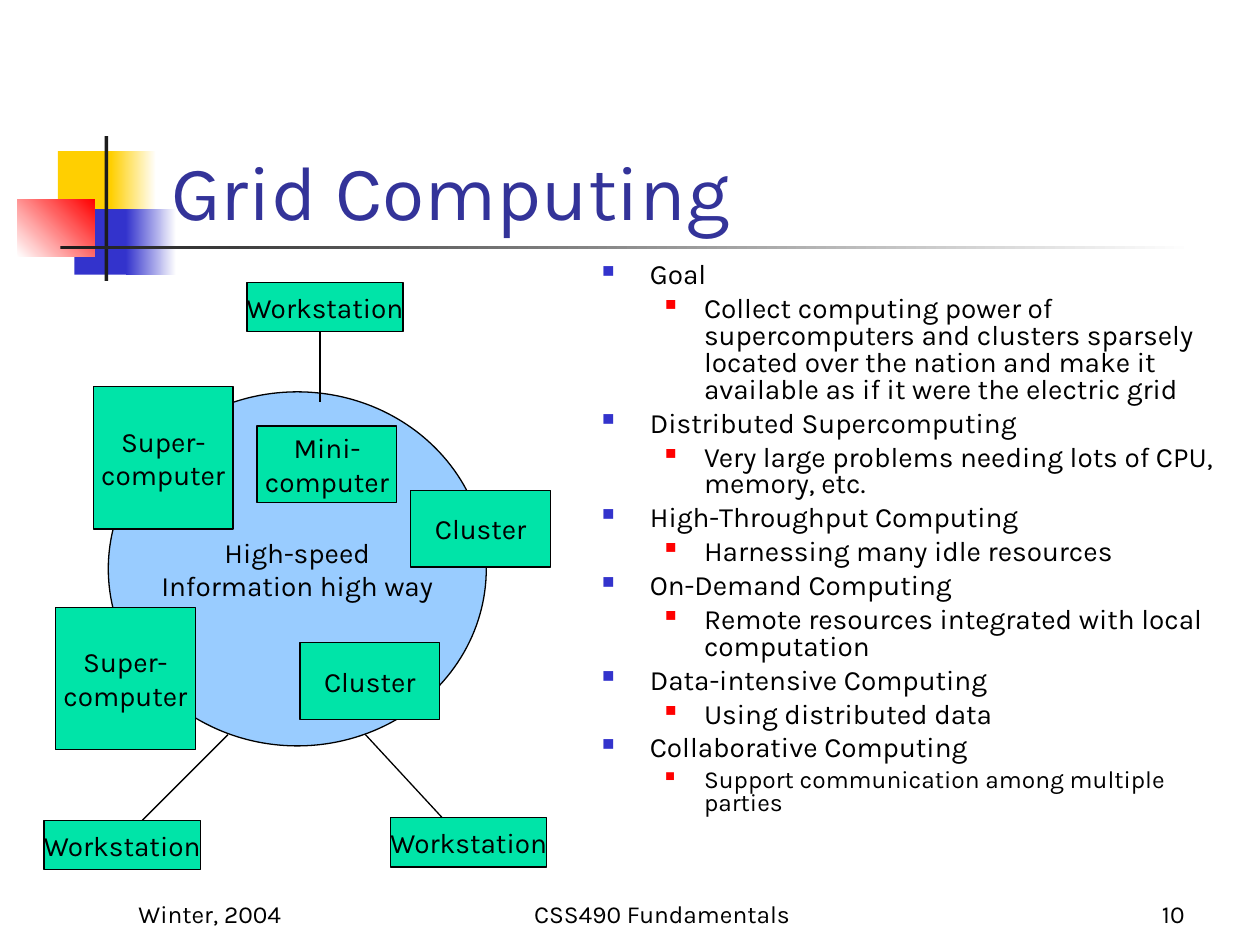
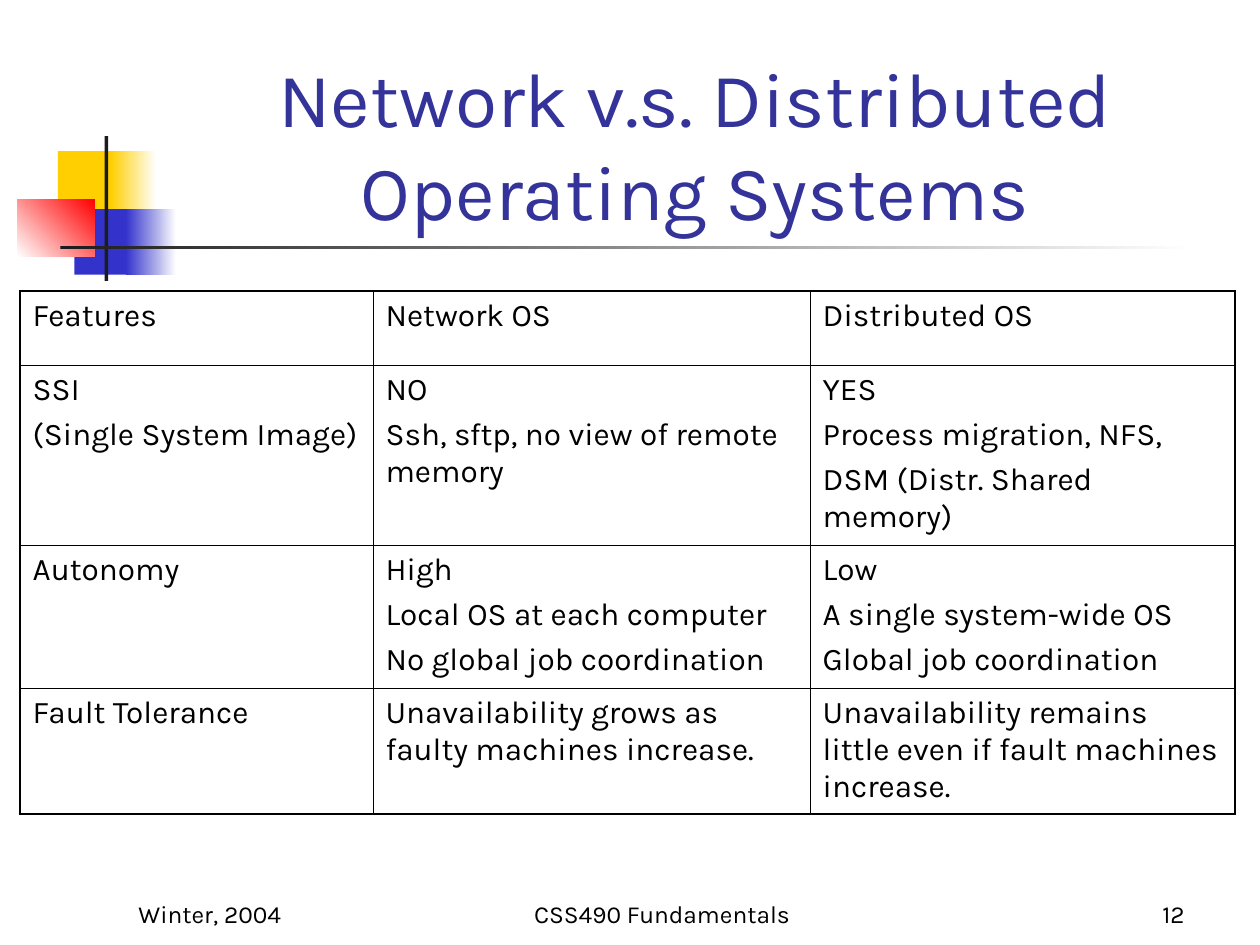
from dataclasses import dataclass

from lxml import etree
from pptx import Presentation
from pptx.dml.color import RGBColor
from pptx.enum.shapes import MSO_CONNECTOR, MSO_SHAPE
from pptx.enum.text import MSO_ANCHOR, PP_ALIGN
from pptx.oxml.ns import qn
from pptx.util import Inches, Pt

RECTANGLE, OVAL = MSO_SHAPE.RECTANGLE, MSO_SHAPE.OVAL
STRAIGHT = MSO_CONNECTOR.STRAIGHT
LEFT, CENTER, RIGHT = PP_ALIGN.LEFT, PP_ALIGN.CENTER, PP_ALIGN.RIGHT
TOP, MIDDLE, BOTTOM = MSO_ANCHOR.TOP, MSO_ANCHOR.MIDDLE, MSO_ANCHOR.BOTTOM


@dataclass(frozen=True)
class Theme:
    font: str = "Karla"
    text: str = "000000"
    title: str = "333399"
    white: str = "FFFFFF"
    yellow: str = "FFCF01"
    blue: str = "3333CC"
    red: str = "FF0000"
    rule: str = "1C1C1C"
    node: str = "00E4A8"
    network: str = "99CCFF"
    title_size: float = 44
    table_size: float = 18
    body_size: float = 16
    small_size: float = 14
    line: float = 0.75
    inner_border: float = 0.45
    outer_border: float = 1.08


class SlideBuilder:
    """Holds the theme and the page being drawn."""

    def __init__(self, deck, theme):
        self.deck = deck
        self.theme = theme
        self.page = None

    def new_page(self, title, number, align=LEFT):
        self.page = self.deck.slides.add_slide(self.deck.slide_layouts[6])
        self.ornament()
        self.footer(number)
        self.text(title, (1.26, 0.67, 8.52, 1.25), self.theme.title_size,
                  self.theme.title, align, BOTTOM)

    def style(self, para, size, color=None, align=LEFT):
        para.alignment = align
        para.font.name = self.theme.font
        para.font.size = Pt(size)
        para.font.color.rgb = RGBColor.from_string(color or self.theme.text)

    def text(self, text, place, size, color=None, align=LEFT, anchor=TOP):
        box = self.page.shapes.add_textbox(*map(Inches, place))
        frame = box.text_frame
        frame.word_wrap = True
        frame.vertical_anchor = anchor
        frame.text = text
        for para in frame.paragraphs:
            self.style(para, size, color, align)

    def shape(self, kind, place, fill):
        shape = self.page.shapes.add_shape(kind, *map(Inches, place))
        shape.shadow.inherit = False
        shape.fill.solid()
        shape.fill.fore_color.rgb = RGBColor.from_string(fill)
        shape.line.fill.background()
        return shape

    def gradient(self, place, start, end, angle=0):
        shape = self.shape(RECTANGLE, place, start)
        shape.fill.gradient()
        shape.fill.gradient_angle = angle
        for stop, color in zip(shape.fill.gradient_stops, (start, end)):
            stop.color.rgb = RGBColor.from_string(color)

    def ornament(self):
        theme = self.theme
        self.shape(RECTANGLE, (0.46, 1.2, 0.48, 0.52), theme.yellow)
        self.gradient((0.88, 1.2, 0.36, 0.52), theme.yellow, theme.white)
        self.shape(RECTANGLE, (0.59, 1.66, 0.46, 0.52), theme.blue)
        self.gradient((1, 1.66, 0.4, 0.52), theme.blue, theme.white)
        self.gradient((0.14, 1.58, 0.61, 0.46), theme.white, theme.red, 45)
        self.shape(RECTANGLE, (0.83, 1.08, 0.03, 1.15), theme.rule)
        self.gradient((0.48, 1.95, 9, 0.03), theme.rule, theme.white)

    def footer(self, number):
        for text, left, width, align in (
            ("Winter, 2004", 1, 2.08, LEFT),
            ("CSS490 Fundamentals", 3.67, 3.17, CENTER),
            (str(number), 7.42, 2.08, RIGHT),
        ):
            self.text(text, (left, 6.92, width, 0.5), self.theme.small_size,
                      align=align, anchor=BOTTOM)

    def node(self, text, place, kind=RECTANGLE, fill=None):
        shape = self.shape(kind, place, fill or self.theme.node)
        shape.line.color.rgb = RGBColor.from_string(self.theme.text)
        shape.line.width = Pt(self.theme.line)
        frame = shape.text_frame
        frame.word_wrap = False
        frame.vertical_anchor = MIDDLE
        frame.text = text
        for para in frame.paragraphs:
            self.style(para, self.theme.body_size, align=CENTER)

    def link(self, start, end):
        line = self.page.shapes.add_connector(STRAIGHT, *map(Inches, start + end))
        line.line.color.rgb = RGBColor.from_string(self.theme.text)
        line.line.width = Pt(self.theme.line)
        etree.SubElement(line._element.spPr, qn("a:effectLst"))

    def bullet(self, para, level):
        margin, hang, color, percent = (
            (0.38, 0.38, self.theme.blue, 60),
            (0.81, 0.31, self.theme.red, 55),
        )[level]
        para.level = level
        props = para._p.get_or_add_pPr()
        props.set("marL", str(Inches(margin)))
        props.set("indent", str(-Inches(hang)))
        bullet_color = etree.SubElement(props, qn("a:buClr"))
        etree.SubElement(bullet_color, qn("a:srgbClr"), val=color)
        etree.SubElement(props, qn("a:buSzPct"), val=str(percent * 1000))
        etree.SubElement(props, qn("a:buChar"), char="■")

    def outline(self, entries, place):
        box = self.page.shapes.add_textbox(*map(Inches, place))
        frame = box.text_frame
        frame.word_wrap = True
        frame.text = "\n".join(text for _, text, _ in entries)
        for index, (para, entry) in enumerate(zip(frame.paragraphs, entries)):
            level, _, size = entry
            self.bullet(para, level)
            para.line_spacing = 0.8
            if index:
                para.space_before = Pt(size / 4)
            self.style(para, size)

    def border(self, cell, side, width):
        line = etree.SubElement(cell._tc.get_or_add_tcPr(), qn(f"a:ln{side}"),
                                w=str(Pt(width)))
        fill = etree.SubElement(line, qn("a:solidFill"))
        etree.SubElement(fill, qn("a:srgbClr"), val=self.theme.text)

    def table(self, rows, left, top, widths, heights):
        place = map(Inches, (left, top, sum(widths), sum(heights)))
        table = self.page.shapes.add_table(len(rows), len(widths), *place).table
        table.first_row = table.horz_banding = False
        for column, width in zip(table.columns, widths):
            column.width = Inches(width)
        for row, height in zip(table.rows, heights):
            row.height = Inches(height)
        for r, texts in enumerate(rows):
            for c, text in enumerate(texts):
                cell = table.cell(r, c)
                outer_sides = {"L": c == 0, "R": c == len(widths) - 1,
                               "T": r == 0, "B": r == len(rows) - 1}
                for side, outer in outer_sides.items():
                    self.border(cell, side, self.theme.outer_border if outer
                                else self.theme.inner_border)
                cell.fill.background()
                cell.text = text
                for index, para in enumerate(cell.text_frame.paragraphs):
                    if index:
                        para.space_before = Pt(self.theme.table_size / 4)
                    self.style(para, self.theme.table_size)


def grid_computing(builder):
    theme = builder.theme
    builder.new_page("Grid Computing", 10)

    # Network and the machines on it
    builder.node("High-speed\nInformation high way", (0.86, 3.11, 3, 2.81),
                 OVAL, theme.network)
    machines = (
        ("Super-\ncomputer", (1.11, 1.13), ((0.74, 3.07), (0.44, 4.82))),
        ("Cluster", (1.11, 0.61), ((3.26, 3.89), (2.38, 5.1))),
        ("Mini-\ncomputer", (1.11, 0.61), ((2.04, 3.38),)),
        ("Workstation", (1.24, 0.39), ((1.96, 2.24), (0.35, 6.51), (3.1, 6.49))),
    )
    for name, size, corners in machines:
        for corner in corners:
            builder.node(name, corner + size)
    for start, end in (
        ((3.51, 6.49), (2.9, 5.83)),
        ((2.54, 2.63), (2.54, 3.19)),
        ((1.81, 5.83), (1.13, 6.51)),
    ):
        builder.link(start, end)

    # Topics, each with one explanation
    topics = (
        ("Goal", "Collect computing power of supercomputers and clusters sparsely "
                 "located over the nation and make it available as if it were the "
                 "electric grid"),
        ("Distributed Supercomputing",
         "Very large problems needing lots of CPU, memory, etc."),
        ("High-Throughput Computing", "Harnessing many idle resources"),
        ("On-Demand Computing",
         "Remote resources integrated with local computation"),
        ("Data-intensive Computing", "Using distributed data"),
    )
    entries = [(level, text, theme.body_size)
               for topic in topics for level, text in enumerate(topic)]
    entries += [
        (0, "Collaborative Computing", theme.body_size),
        (1, "Support communication among multiple parties", theme.small_size),
    ]
    builder.outline(entries, (4.68, 2.04, 5.1, 4.89))


def operating_systems(builder):
    builder.new_page("Network v.s. Distributed Operating Systems", 12, CENTER)

    # Feature comparison
    rows = (
        ("Features", "Network OS", "Distributed OS"),
        ("SSI\n(Single System Image)",
         "NO\nSsh, sftp, no view of remote memory",
         "YES\nProcess migration, NFS,\nDSM (Distr. Shared memory)"),
        ("Autonomy",
         "High\nLocal OS at each computer\nNo global job coordination",
         "Low\nA single system-wide OS\nGlobal job coordination"),
        ("Fault Tolerance",
         "Unavailability grows as faulty machines increase.",
         "Unavailability remains little even if fault machines increase."),
    )
    builder.table(rows, 0.16, 2.31, (2.8, 3.47, 3.37), (0.59, 1.43, 1.13, 1))


def main():
    deck = Presentation()
    deck.slide_width, deck.slide_height = Inches(10), Inches(7.5)
    builder = SlideBuilder(deck, Theme())
    grid_computing(builder)
    operating_systems(builder)
    deck.save("out.pptx")


if __name__ == "__main__":
    main()
